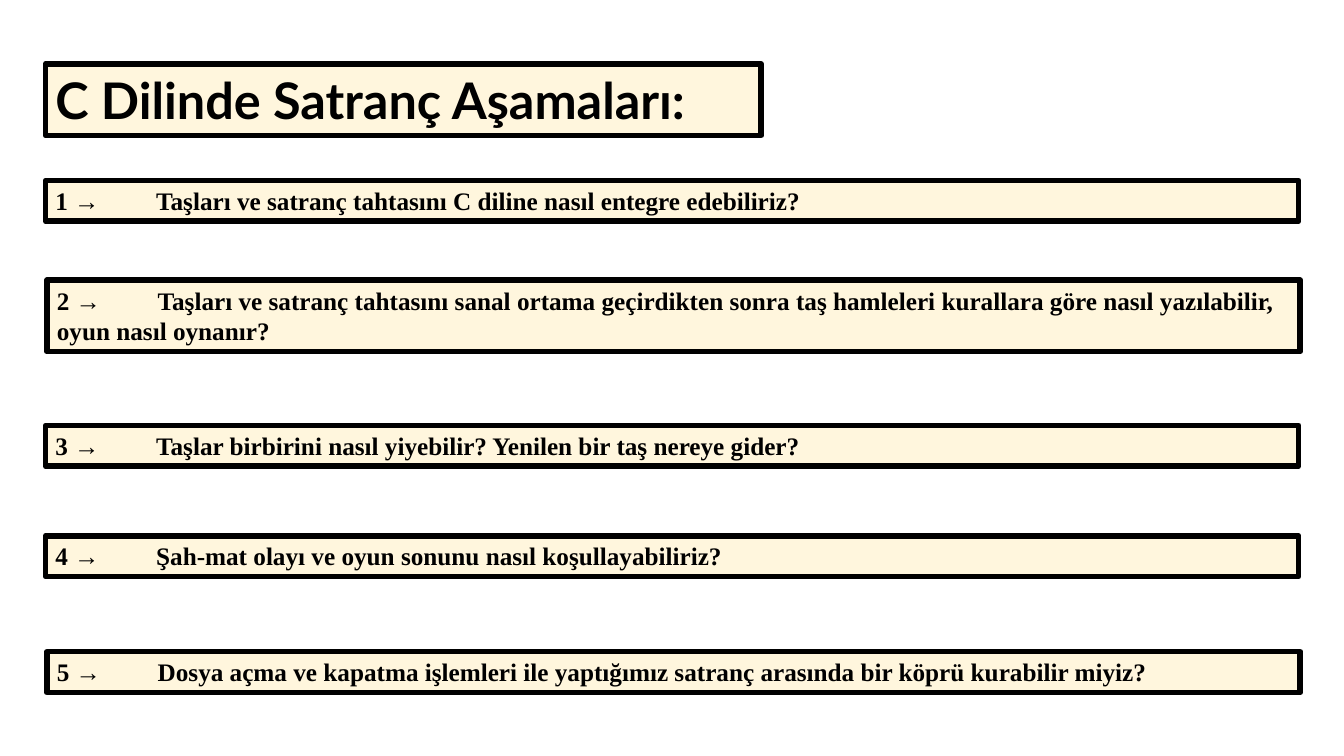
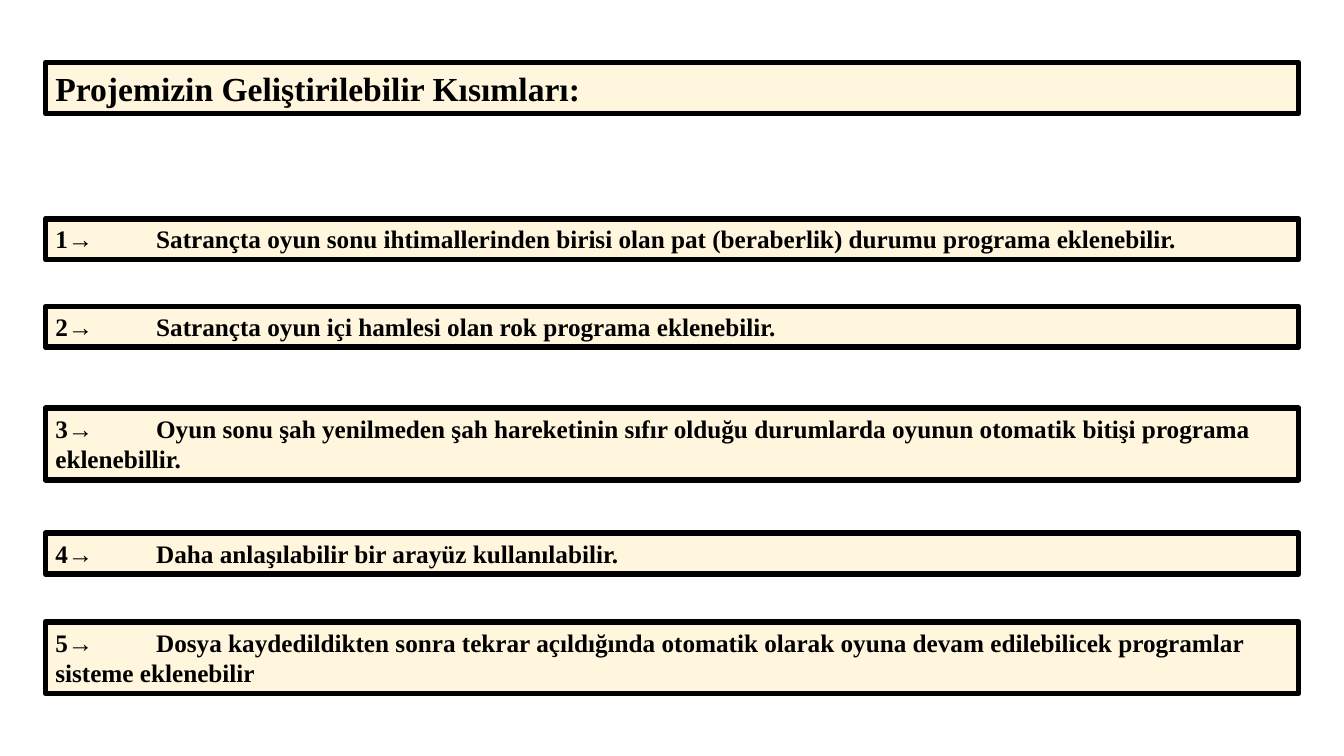
import pptx
import pptx.dml.color
import pptx.enum.text
import pptx.oxml.ns
import pptx.util
import lxml.etree
from dataclasses import dataclass


@dataclass(frozen=True)
class Theme:
    slide_width: float = 13.33
    slide_height: float = 7.5
    cream: str = "FFF2CC"
    black: str = "000000"
    opacity: int = 66
    border: float = 4
    inset: float = 0.05
    tab_width: float = 1
    line_spacing: float = 1.22
    left: float = 3.38
    nudged_left: float = 3.49
    full_width: float = 93.25
    title_font: str = "Lato"
    body_font: str = "Times New Roman"
    title_size: int = 36
    heading_size: int = 24
    body_size: int = 18


THEME = Theme()


def write_text(frame, text, font=THEME.body_font, size=THEME.body_size, color=THEME.black, bold=True):
    para = frame.paragraphs[0]
    para.alignment = pptx.enum.text.PP_ALIGN.LEFT
    properties = para._p.get_or_add_pPr()
    properties.set("defTabSz", str(pptx.util.Inches(THEME.tab_width)))
    span = para.add_run()
    span.text = text
    span.font.name = font
    span.font.size = pptx.util.Pt(size)
    span.font.bold = bold
    span.font.color.rgb = pptx.dml.color.RGBColor.from_string(color)


class ChessDeck:
    def __init__(self, theme):
        self.theme = theme
        self.deck = pptx.Presentation()
        self.deck.slide_width = pptx.util.Inches(theme.slide_width)
        self.deck.slide_height = pptx.util.Inches(theme.slide_height)
        self.page = None

    def add_page(self):
        self.page = self.deck.slides.add_slide(self.deck.slide_layouts[6])

    def across(self, percent):
        return round(self.deck.slide_width * percent / 100)

    def down(self, percent):
        return round(self.deck.slide_height * percent / 100)

    def framed_text(self, text, top, left=None, width=None, lines=1, **text_format):
        theme = self.theme
        size = text_format.get("size", theme.body_size)
        inset = pptx.util.Inches(theme.inset)
        height = 2 * inset + pptx.util.Pt(lines * size * theme.line_spacing)
        box = self.page.shapes.add_textbox(
            self.across(left or theme.left), self.down(top),
            self.across(width or theme.full_width), height)
        box.fill.solid()
        box.fill.fore_color.rgb = pptx.dml.color.RGBColor.from_string(theme.cream)
        color = box.fill._xPr.find(".//" + pptx.oxml.ns.qn("a:srgbClr"))
        alpha = lxml.etree.SubElement(color, pptx.oxml.ns.qn("a:alpha"))
        alpha.set("val", str(theme.opacity * 1000))
        box.line.color.rgb = pptx.dml.color.RGBColor.from_string(theme.black)
        box.line.width = pptx.util.Pt(theme.border)
        frame = box.text_frame
        frame.word_wrap = True
        frame.auto_size = pptx.enum.text.MSO_AUTO_SIZE.SHAPE_TO_FIT_TEXT
        frame.margin_top = frame.margin_bottom = inset
        write_text(frame, text, **text_format)

    def numbered_list(self, items, arrow):
        for number, (text, top, options) in enumerate(items, start=1):
            self.framed_text(f"{number}{arrow}\t{text}", top, **options)

    def save(self):
        self.deck.save("out.pptx")


NUDGED = {"left": THEME.nudged_left}
TWO_LINES = {"lines": 2}

STAGES = [
    ("Taşları ve satranç tahtasını C diline nasıl entegre edebiliriz?", 23.87, {}),
    ("Taşları ve satranç tahtasını sanal ortama geçirdikten sonra taş hamleleri "
     "kurallara göre nasıl yazılabilir, oyun nasıl oynanır?", 37.05, {**NUDGED, **TWO_LINES}),
    ("Taşlar birbirini nasıl yiyebilir? Yenilen bir taş nereye gider?", 56.27, {}),
    ("Şah-mat olayı ve oyun sonunu nasıl koşullayabiliriz?", 70.87, {}),
    ("Dosya açma ve kapatma işlemleri ile yaptığımız satranç arasında bir köprü "
     "kurabilir miyiz?", 86.2, NUDGED),
]

IMPROVEMENTS = [
    ("Satrançta oyun sonu ihtimallerinden birisi olan pat (beraberlik) durumu "
     "programa eklenebilir.", 28.93, {}),
    ("Satrançta oyun içi hamlesi olan rok programa eklenebilir.", 40.53, {}),
    ("Oyun sonu şah yenilmeden şah hareketinin sıfır olduğu durumlarda oyunun "
     "otomatik bitişi programa eklenebillir.", 54, TWO_LINES),
    ("Daha anlaşılabilir bir arayüz kullanılabilir.", 70.53, {}),
    ("Dosya kaydedildikten sonra tekrar açıldığında otomatik olarak oyuna devam "
     "edilebilicek programlar sisteme eklenebilir", 82.27, TWO_LINES),
]


def main():
    chess = ChessDeck(THEME)
    chess.add_page()
    chess.framed_text("C Dilinde Satranç Aşamaları:", 8.45, width=53.26,
                      font=THEME.title_font, size=THEME.title_size)
    chess.numbered_list(STAGES, arrow=" →")
    chess.add_page()
    chess.framed_text("Projemizin Geliştirilebilir Kısımları:", 8.27, size=THEME.heading_size)
    chess.numbered_list(IMPROVEMENTS, arrow="→")
    chess.save()


if __name__ == "__main__":
    main()
